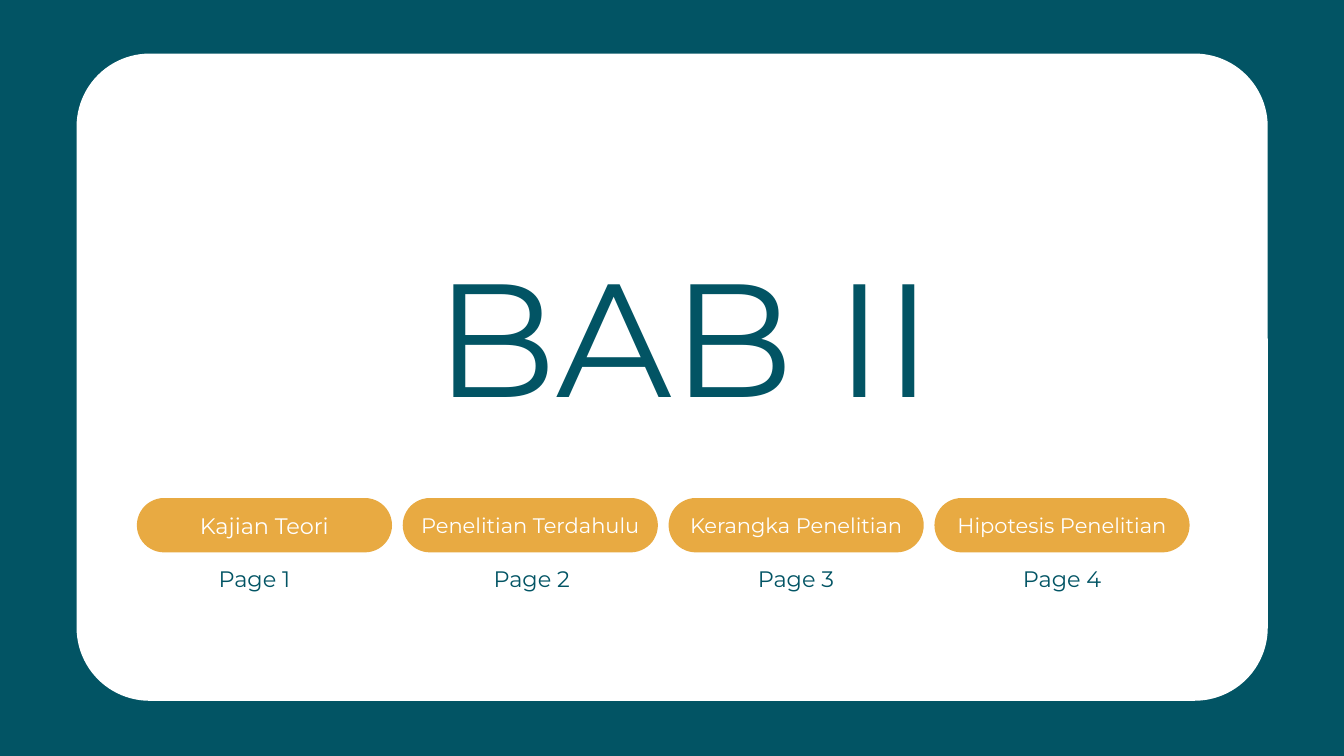
from pptx import Presentation
from pptx.dml.color import RGBColor
from pptx.enum.shapes import MSO_SHAPE
from pptx.enum.text import MSO_ANCHOR, MSO_AUTO_SIZE, PP_ALIGN
from pptx.util import Cm, Pt

COLORS = {"teal": "025464", "amber": "E8AA42", "white": "FFFFFF"}


def add_rounded(left, top, width, height, roundness, color):
    shape = slide.shapes.add_shape(
        MSO_SHAPE.ROUNDED_RECTANGLE, Cm(left), Cm(top), Cm(width), Cm(height))
    shape.adjustments[0] = roundness
    shape.fill.solid()
    shape.fill.fore_color.rgb = RGBColor.from_string(COLORS[color])
    shape.line.fill.background()
    shape.shadow.inherit = False
    return shape


def write(frame, text, size, color, align, **frame_format):
    for name, value in frame_format.items():
        setattr(frame, name, value)
    paragraph = frame.paragraphs[0]
    paragraph.text = text
    paragraph.alignment = align
    for name, value in {"name": "Montserrat", "size": Pt(size)}.items():
        setattr(paragraph.runs[0].font, name, value)
    paragraph.runs[0].font.color.rgb = RGBColor.from_string(COLORS[color])


prs = Presentation()
prs.slide_width, prs.slide_height = Cm(33.87), Cm(19.05)
slide = prs.slides.add_slide(prs.slide_layouts[5])
slide.background.fill.solid()
slide.background.fill.fore_color.rgb = RGBColor.from_string(COLORS["teal"])

# White card, placed behind the title
card = add_rounded(1.93, 1.35, 30.02, 16.31, 0.113, "white")
slide.shapes._spTree.insert(2, card._element)

# Chapter title
chapter = slide.shapes.title
chapter_place = {"left": 10.72, "top": 5.82, "width": 13.74, "height": 5.18}
for name, value in chapter_place.items():
    setattr(chapter, name, Cm(value))
write(chapter.text_frame, "BAB II", 115, "teal", PP_ALIGN.LEFT, word_wrap=True,
      vertical_anchor=MSO_ANCHOR.TOP, auto_size=MSO_AUTO_SIZE.SHAPE_TO_FIT_TEXT)

# Sections: name, text size, left and width of the page label
sections = [
    ("Kajian Teori", 16, 5.26, 2.34),
    ("Penelitian Terdahulu", 15, 12.19, 2.46),
    ("Kerangka Penelitian", 15, 18.85, 2.46),
    ("Hipotesis Penelitian", 15, 25.53, 2.51),
]
for index, (section, size, page_left, page_width) in enumerate(sections):
    button = add_rounded(3.45 + 6.7 * index, 12.55, 6.43, 1.37, 0.5, "amber")
    write(button.text_frame, section, size, "white", PP_ALIGN.CENTER,
          word_wrap=True, vertical_anchor=MSO_ANCHOR.MIDDLE)

    page = slide.shapes.add_textbox(
        Cm(page_left), Cm(14.12), Cm(page_width), Cm(0.94))
    write(page.text_frame, f"Page {index + 1}", 16, "teal", PP_ALIGN.LEFT,
          word_wrap=False, auto_size=MSO_AUTO_SIZE.SHAPE_TO_FIT_TEXT)

prs.save("out.pptx")
